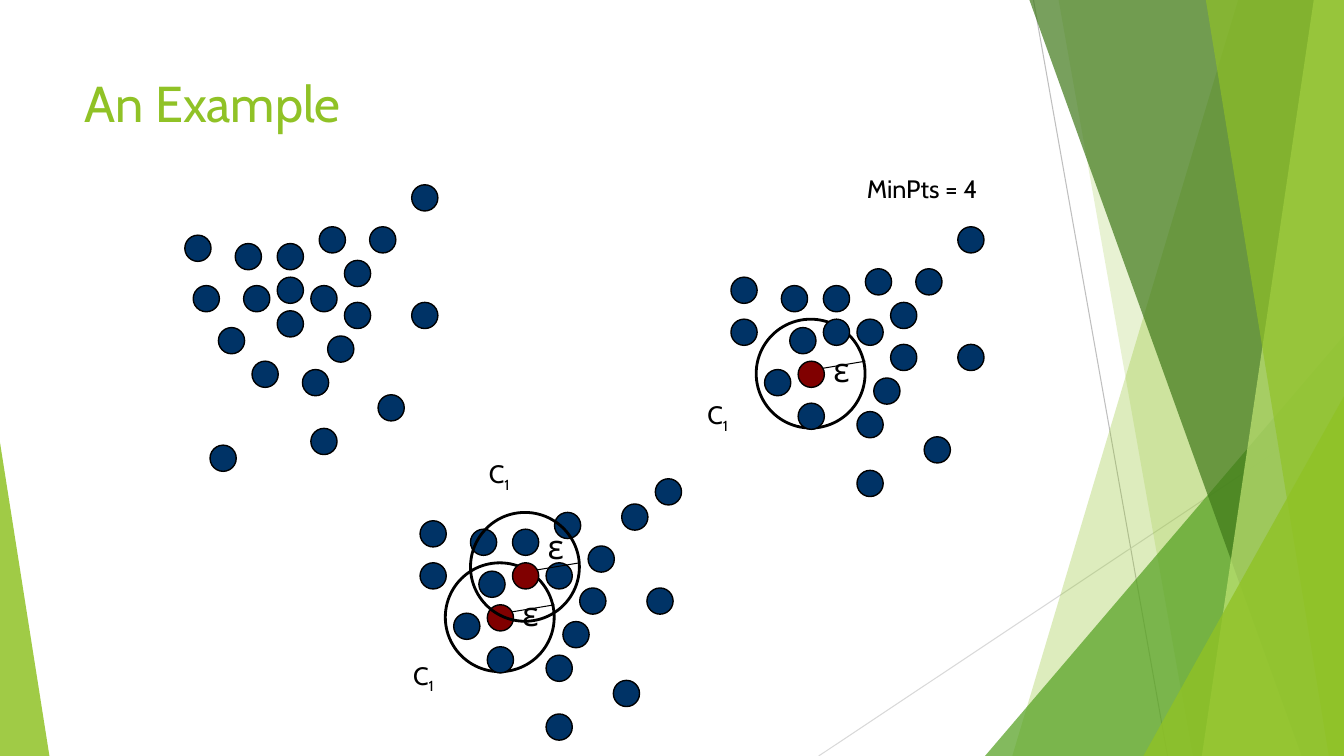
from dataclasses import dataclass

from lxml.etree import SubElement
from pptx import Presentation
from pptx.dml.color import RGBColor
from pptx.enum.shapes import MSO_CONNECTOR, MSO_SHAPE
from pptx.enum.text import MSO_ANCHOR
from pptx.oxml.ns import qn
from pptx.util import Inches, Pt


@dataclass(frozen=True)
class Theme:
    """Colours, font and type sizes of the slide."""
    font: str = "Cabin"
    title_size: int = 36
    epsilon_size: int = 24
    label_size: int = 18
    green: str = "90C226"
    mid_green: str = "54A021"
    dark_green: str = "3F7819"
    pale_green: str = "C0E474"
    grey: str = "BFBFBF"
    light_grey: str = "D9D9D9"
    point: str = "003366"
    core: str = "800000"
    ink: str = "000000"


THEME = Theme()
WIDTH, HEIGHT = 13.33, 7.5
DOT_SIZE, RING_SIZE = 0.26, 1.08

RAW_POINTS = [
    (28, 29), (29, 34), (33, 33), (26, 39), (37, 34), (33, 29), (30, 43),
    (41, 31), (38, 27), (41, 36), (39, 40), (33, 37), (23, 34), (36, 44),
    (44, 27), (22, 28), (25, 53), (49, 22), (49, 36), (45, 47), (37, 51),
]
FIRST_STEP_POINTS = [
    (93, 34), (94, 39), (98, 38), (91, 44), (102, 38), (98, 34), (95, 48),
    (106, 36), (103, 32), (106, 41), (104, 45), (87, 38), (102, 49),
    (109, 32), (87, 33), (114, 27), (114, 41), (110, 52), (102, 56),
]
SECOND_STEP_POINTS = [
    (56, 63), (57, 68), (54, 73), (65, 67), (61, 63), (58, 77), (70, 65),
    (66, 61), (69, 70), (67, 74), (50, 67), (65, 78), (74, 60), (50, 62),
    (78, 57), (77, 70), (73, 81), (65, 85),
]


def grid(steps):
    """Turn grid steps of a twelfth of an inch into a length."""
    return Inches(steps / 12)


def color(code):
    """Turn a hex code into a colour."""
    return RGBColor.from_string(code)


def add_line(shapes, start, end, code):
    """Draw a thin straight line between two points given as lengths."""
    line = shapes.add_connector(MSO_CONNECTOR.STRAIGHT, *start, *end)
    line.line.color.rgb = color(code)
    line.line.width = Pt(0.75)
    SubElement(line._element.spPr, qn("a:effectLst"))


def paint_facet(shape, code, opacity):
    """Give a background facet a translucent fill and no outline."""
    shape.shadow.inherit = False
    shape.fill.solid()
    shape.fill.fore_color.rgb = color(code)
    shape.line.fill.background()
    fill_color = shape._element.spPr.find(".//" + qn("a:srgbClr"))
    SubElement(fill_color, qn("a:alpha")).set("val", str(opacity * 1000))


def add_band(shapes, top_left, bottom_left, code, opacity):
    """Draw a slanted band that reaches the right edge of the slide."""
    builder = shapes.build_freeform(Inches(top_left), 0)
    corners = [(WIDTH, 0), (WIDTH, HEIGHT), (bottom_left, HEIGHT)]
    builder.add_line_segments([(Inches(x), Inches(y)) for x, y in corners], close=True)
    paint_facet(builder.convert_to_shape(), code, opacity)


def add_wedge(shapes, left, width, height, apex, code, opacity):
    """Draw a right triangle standing on the bottom edge."""
    wedge = shapes.add_shape(MSO_SHAPE.ISOSCELES_TRIANGLE, Inches(left),
                             Inches(HEIGHT - height), Inches(width), Inches(height))
    wedge.adjustments[0] = apex
    paint_facet(wedge, code, opacity)


def add_text(shapes, left, top, width, height, text, size, code=THEME.ink, subscript=""):
    """Add one line of text with an optional subscript."""
    box = shapes.add_textbox(left, top, Inches(width), Inches(height))
    frame = box.text_frame
    for name, value in {"word_wrap": True, "vertical_anchor": MSO_ANCHOR.TOP}.items():
        setattr(frame, name, value)
    for content in filter(None, (text, subscript)):
        run = frame.paragraphs[0].add_run()
        run.text = content
        for name, value in {"name": THEME.font, "size": Pt(size)}.items():
            setattr(run.font, name, value)
        run.font.color.rgb = color(code)
    if subscript:
        run._r.get_or_add_rPr().set("baseline", "-25000")


def add_circle(shapes, position, size, line_width, fill_code=None):
    """Draw an outlined circle at a grid position."""
    column, row = position
    circle = shapes.add_shape(MSO_SHAPE.OVAL, grid(column), grid(row),
                              Inches(size), Inches(size))
    circle.shadow.inherit = False
    if fill_code:
        circle.fill.solid()
        circle.fill.fore_color.rgb = color(fill_code)
    else:
        circle.fill.background()
    circle.line.color.rgb = color(THEME.ink)
    circle.line.width = Pt(line_width)


def add_points(shapes, positions):
    """Draw the data points of one scatter."""
    for position in positions:
        add_circle(shapes, position, DOT_SIZE, 1, THEME.point)


def add_core(shapes, core, epsilon_rise=2):
    """Draw a core point with its radius and epsilon mark."""
    column, row = core
    add_line(shapes, (grid(column + 2), grid(row + 1)),
             (grid(column + 8), grid(row)), THEME.ink)
    add_circle(shapes, core, DOT_SIZE, 1, THEME.core)
    add_text(shapes, grid(column + 3), grid(row - epsilon_rise), 0.26, 0.5,
             "ε", THEME.epsilon_size)


def add_cluster_label(shapes, column, row):
    """Write the cluster name at a grid position."""
    add_text(shapes, grid(column), grid(row), 0.58, 0.4, "C", THEME.label_size, subscript="1")


def add_background(shapes):
    """Draw the green facets and fine lines behind the content."""
    for start, end, code in [((10.25, 0), (11.58, HEIGHT), THEME.grey),
                             ((WIDTH, 4.03), (8.12, HEIGHT), THEME.light_grey)]:
        add_line(shapes, map(Inches, start), map(Inches, end), code)
    add_band(shapes, 12.28, 10.04, THEME.green, 30)
    add_band(shapes, 10.5, 11.83, THEME.green, 20)
    add_wedge(shapes, 9.77, 3.56, 4.17, 1, THEME.mid_green, 72)
    add_band(shapes, 10.21, 12.91, THEME.dark_green, 70)
    add_band(shapes, 13.03, 11.92, THEME.pale_green, 70)
    add_band(shapes, 11.96, 13.18, THEME.green, 65)
    add_wedge(shapes, 11.34, 1.99, 3.57, 1, THEME.green, 80)
    add_wedge(shapes, 0, 0.49, 3.11, 0, THEME.green, 85)


def add_first_step(shapes):
    """Draw the scatter with one core point."""
    add_circle(shapes, (90, 38), RING_SIZE, 2)
    add_points(shapes, FIRST_STEP_POINTS)
    add_core(shapes, (95, 43))
    add_cluster_label(shapes, 83, 47)


def add_second_step(shapes):
    """Draw the scatter with two core points."""
    add_circle(shapes, (53, 67), RING_SIZE, 2)
    add_points(shapes, SECOND_STEP_POINTS)
    add_core(shapes, (58, 72))
    add_circle(shapes, (56, 61), RING_SIZE, 2)
    add_core(shapes, (61, 67), epsilon_rise=5)
    add_cluster_label(shapes, 48, 78)
    add_cluster_label(shapes, 57, 54)


def main():
    """Build the slide and save it."""
    presentation = Presentation()
    presentation.slide_width = Inches(WIDTH)
    presentation.slide_height = Inches(HEIGHT)
    shapes = presentation.slides.add_slide(presentation.slide_layouts[6]).shapes
    add_background(shapes.add_group_shape().shapes)
    add_text(shapes, Inches(0.74), Inches(0.67), 9.4, 1.44, "An Example",
             THEME.title_size, THEME.green)
    add_points(shapes.add_group_shape().shapes, RAW_POINTS)
    add_text(shapes, grid(102), grid(20), 1.75, 0.4, "MinPts = 4", THEME.label_size)
    add_first_step(shapes.add_group_shape().shapes)
    add_second_step(shapes.add_group_shape().shapes)
    presentation.save("out.pptx")


if __name__ == "__main__":
    main()
